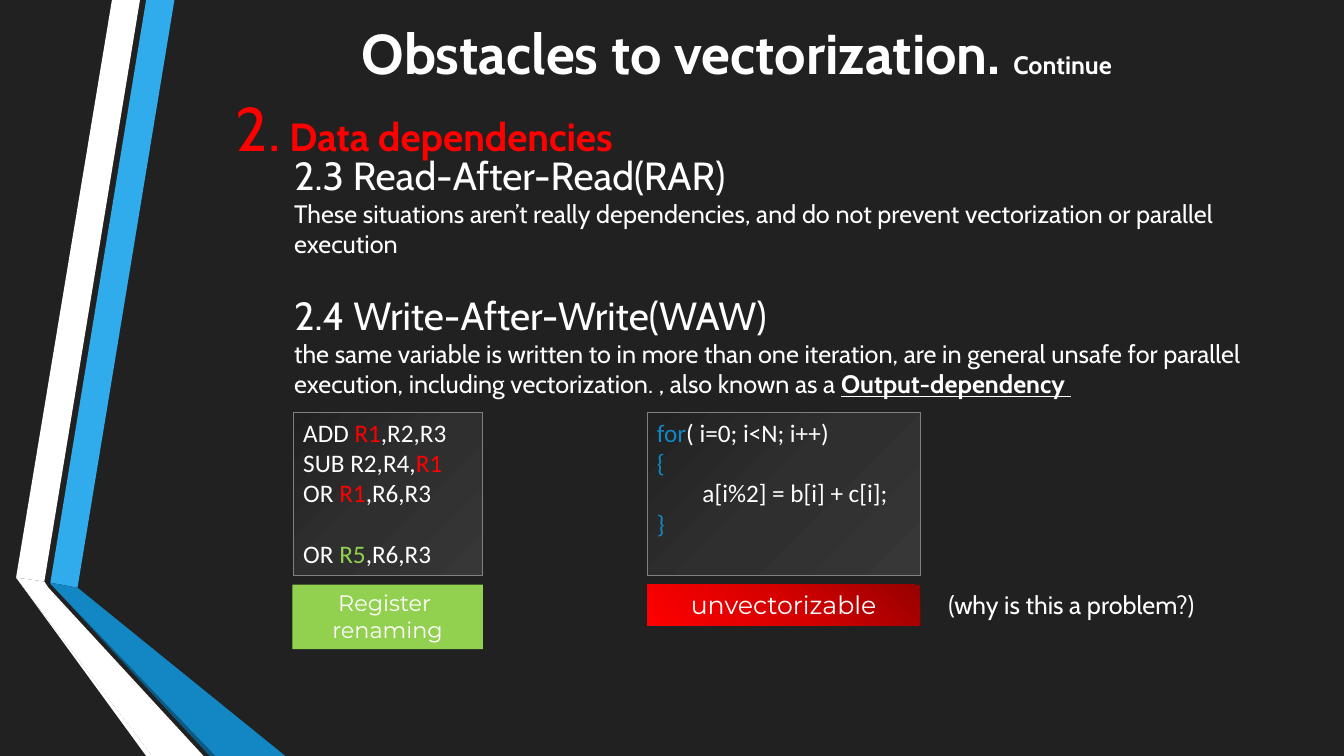
from dataclasses import dataclass, field
from typing import Optional

import lxml.etree
import pptx
import pptx.dml.color
import pptx.enum.shapes
import pptx.enum.text
import pptx.oxml
import pptx.oxml.ns
import pptx.util

Align = pptx.enum.text.PP_ALIGN
Anchor = pptx.enum.text.MSO_ANCHOR
Pt = pptx.util.Pt


@dataclass(frozen=True)
class Theme:
    background: str = "212121"
    white: str = "FFFFFF"
    red: str = "FF0000"
    green: str = "92D050"
    sky: str = "30ACEC"
    blue: str = "1287C3"
    navy: str = "0C5A82"
    border: str = "808080"
    panel_stops: tuple = ("212121", "2F2F2F", "373737")
    warning_stops: tuple = ("970000", "D70000", "FF0000")
    body_font: str = "Cabin"
    code_font: str = "Calibri"
    label_font: str = "Montserrat"
    title_size: float = 40
    number_size: float = 44
    heading_size: float = 28
    body_size: float = 18
    label_size: float = 16


THEME = Theme()
PANEL_SHADE = '<a:path path="circle"><a:fillToRect r="100000" b="100000"/></a:path>'
WARNING_SHADE = '<a:lin ang="8100000" scaled="1"/>'


@dataclass(frozen=True)
class Run:
    text: str
    color: str = THEME.white
    size: float = THEME.body_size
    format: dict = field(default_factory=dict)


@dataclass(frozen=True)
class Line:
    runs: tuple
    space_before: float = 0
    indent: float = 0


@dataclass(frozen=True)
class Box:
    left: float
    top: float
    width: float
    height: float
    lines: tuple
    font: str = THEME.body_font
    align: Align = Align.LEFT
    anchor: Anchor = Anchor.TOP
    wrap: bool = True
    fill: Optional[str] = None
    stops: tuple = ()
    shade: str = ""
    border: Optional[str] = None


@dataclass(frozen=True)
class Ribbon:
    color: str
    points: tuple


def rgb(color: str) -> pptx.dml.color.RGBColor:
    return pptx.dml.color.RGBColor.from_string(color)


def set_values(target: object, values: dict) -> None:
    for name, value in values.items():
        setattr(target, name, value)


def paint(shape, color: str) -> None:
    shape.shadow.inherit = False
    shape.fill.solid()
    shape.fill.fore_color.rgb = rgb(color)
    shape.line.fill.background()


def paint_gradient(shape, stops: tuple, shade: str) -> None:
    listed = "".join(
        f'<a:gs pos="{index * 50000}"><a:srgbClr val="{color}"/></a:gs>'
        for index, color in enumerate(stops)
    )
    namespace = pptx.oxml.ns.nsdecls("a")
    gradient = pptx.oxml.parse_xml(
        f'<a:gradFill {namespace} rotWithShape="1"><a:gsLst>{listed}</a:gsLst>{shade}</a:gradFill>'
    )
    solid = shape.fill._xPr.find(pptx.oxml.ns.qn("a:solidFill"))
    solid.getparent().replace(solid, gradient)


def draw_ribbon(slide, ribbon: Ribbon) -> None:
    corners = [(Pt(x), Pt(y)) for x, y in ribbon.points]
    builder = slide.shapes.build_freeform(*corners[0])
    builder.add_line_segments(corners[1:], close=True)
    paint(builder.convert_to_shape(), ribbon.color)


def draw_box(slide, box: Box) -> None:
    frame = [Pt(length) for length in (box.left, box.top, box.width, box.height)]
    if box.fill or box.stops:
        shape = slide.shapes.add_shape(pptx.enum.shapes.MSO_SHAPE.RECTANGLE, *frame)
        paint(shape, box.fill or box.stops[0])
        if box.stops:
            paint_gradient(shape, box.stops, box.shade)
        if box.border:
            shape.line.color.rgb = rgb(box.border)
            shape.line.width = Pt(0.75)
    else:
        shape = slide.shapes.add_textbox(*frame)
    text_frame = shape.text_frame
    set_values(text_frame, {"word_wrap": box.wrap, "vertical_anchor": box.anchor})
    for index, line in enumerate(box.lines):
        paragraph = text_frame.add_paragraph() if index else text_frame.paragraphs[0]
        set_values(paragraph, {"alignment": box.align, "space_before": Pt(line.space_before)})
        if line.indent:
            paragraph._p.get_or_add_pPr().set("marL", str(Pt(line.indent)))
        for part in line.runs:
            run = paragraph.add_run()
            run.text = part.text
            set_values(run.font, {"name": box.font, "size": Pt(part.size), **part.format})
            run.font.color.rgb = rgb(part.color)


# Folded ribbons on the left edge
RIBBONS = (
    Ribbon(THEME.sky, ((36, 416.2), (55.4, 419.8), (124.6, 0), (104.4, 0))),
    Ribbon(THEME.white, ((100, 0), (80, 0), (11.5, 412.6), (31.7, 415.4))),
    Ribbon(THEME.white, ((11.5, 412.6), (104.4, 540), (108.7, 540))),
    Ribbon(THEME.navy, ((36, 416.9), (149.8, 540), (154, 540))),
    Ribbon(THEME.blue, ((36, 416.9), (154, 540), (203.8, 540), (55.4, 419.8), (36, 416.2))),
    Ribbon(THEME.white, ((145.4, 540), (34.6, 419.8), (31.7, 415.4), (11.5, 412.6), (108.7, 540))),
)

BOLD = {"bold": True}
PANEL = {"top": 294.5, "height": 116.6, "font": THEME.code_font, "border": THEME.border,
         "stops": THEME.panel_stops, "shade": PANEL_SHADE}
LABEL = {"top": 417.6, "font": THEME.label_font, "align": Align.CENTER, "anchor": Anchor.TOP}
SECTION = {"left": 203, "width": 714.2, "height": 106.6}


def heading(text: str) -> Line:
    return Line((Run(text, size=THEME.heading_size),))


BOXES = (
    # Title and section heading
    Box(131.8, -31.7, 789.1, 138.2, (
        Line((Run("Obstacles to vectorization. ", size=THEME.title_size, format=BOLD),
              Run("Continue", format=BOLD))),
    ), align=Align.CENTER, anchor=Anchor.MIDDLE),
    Box(161.3, 60.5, 293.8, 60.5, (
        Line((Run("2.", THEME.red, THEME.number_size),
              Run(" Data dependencies", THEME.red, THEME.heading_size, BOLD))),
    ), wrap=False),
    # Dependency kinds
    Box(top=104.4, lines=(
        heading("2.3 Read-After-Read(RAR)"),
        Line((Run("These situations aren’t really dependencies, and do not prevent "
                  "vectorization or parallel execution"),)),
    ), **SECTION),
    Box(top=204.5, lines=(
        heading("2.4 Write-After-Write(WAW)"),
        Line((Run("the same variable is written to in more than one iteration, are in general "
                  "unsafe for parallel execution, including vectorization. , also known as a "),
              Run("Output-dependency ", format={"bold": True, "underline": True}))),
    ), **SECTION),
    # Code panels
    Box(left=209.5, width=135.4, lines=(
        Line((Run("ADD "), Run("R1", THEME.red), Run(",R2,R3"))),
        Line((Run("SUB R2,R4,"), Run("R1", THEME.red))),
        Line((Run("OR "), Run("R1", THEME.red), Run(",R6,R3"))),
        Line((Run("OR "), Run("R5", THEME.green), Run(",R6,R3")), space_before=22),
    ), **PANEL),
    Box(left=462.2, width=195.1, lines=(
        Line((Run("for", THEME.blue), Run("( i=0; i<N; i++)"))),
        Line((Run("{", THEME.blue),)),
        Line((Run("a[i%2] = b[i] + c[i];"),), indent=32.5),
        Line((Run("}", THEME.blue),)),
    ), **PANEL),
    # Verdicts under the panels
    Box(left=208.8, width=136.1, height=46.1, fill=THEME.green, lines=tuple(
        Line((Run(word, size=THEME.label_size),)) for word in ("Register ", "renaming")
    ), **LABEL),
    Box(left=462.2, width=195.1, height=29.1, stops=THEME.warning_stops, shade=WARNING_SHADE,
        lines=(Line((Run("unvectorizable"),)),), **LABEL),
    Box(670.3, 417.6, 190.1, 29.1, (Line((Run("(why is this a problem?)"),)),), wrap=False),
)


def main() -> None:
    presentation = pptx.Presentation()
    set_values(presentation, {"slide_width": Pt(960), "slide_height": Pt(540)})
    slide = presentation.slides.add_slide(presentation.slide_layouts[6])
    slide.background.fill.solid()
    slide.background.fill.fore_color.rgb = rgb(THEME.background)
    for ribbon in RIBBONS:
        draw_ribbon(slide, ribbon)
    for box in BOXES:
        draw_box(slide, box)
    presentation.save("out.pptx")


if __name__ == "__main__":
    main()
